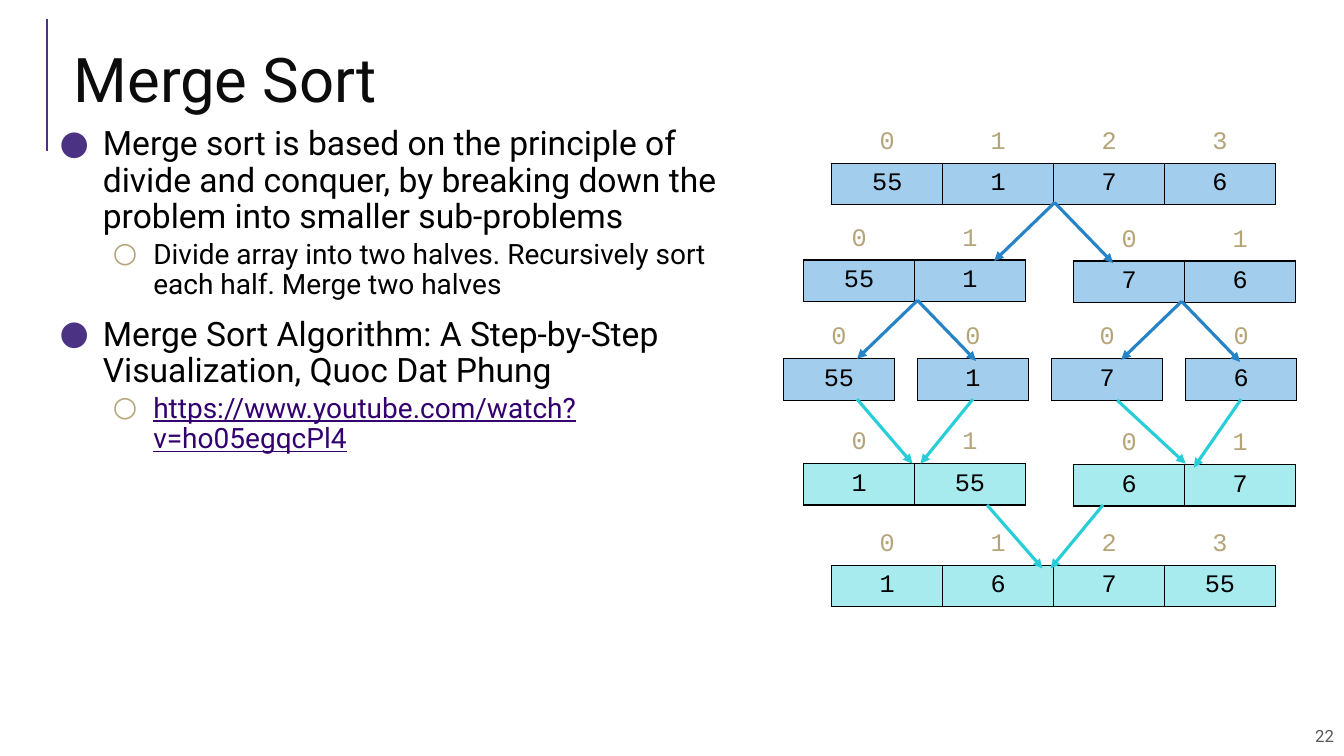
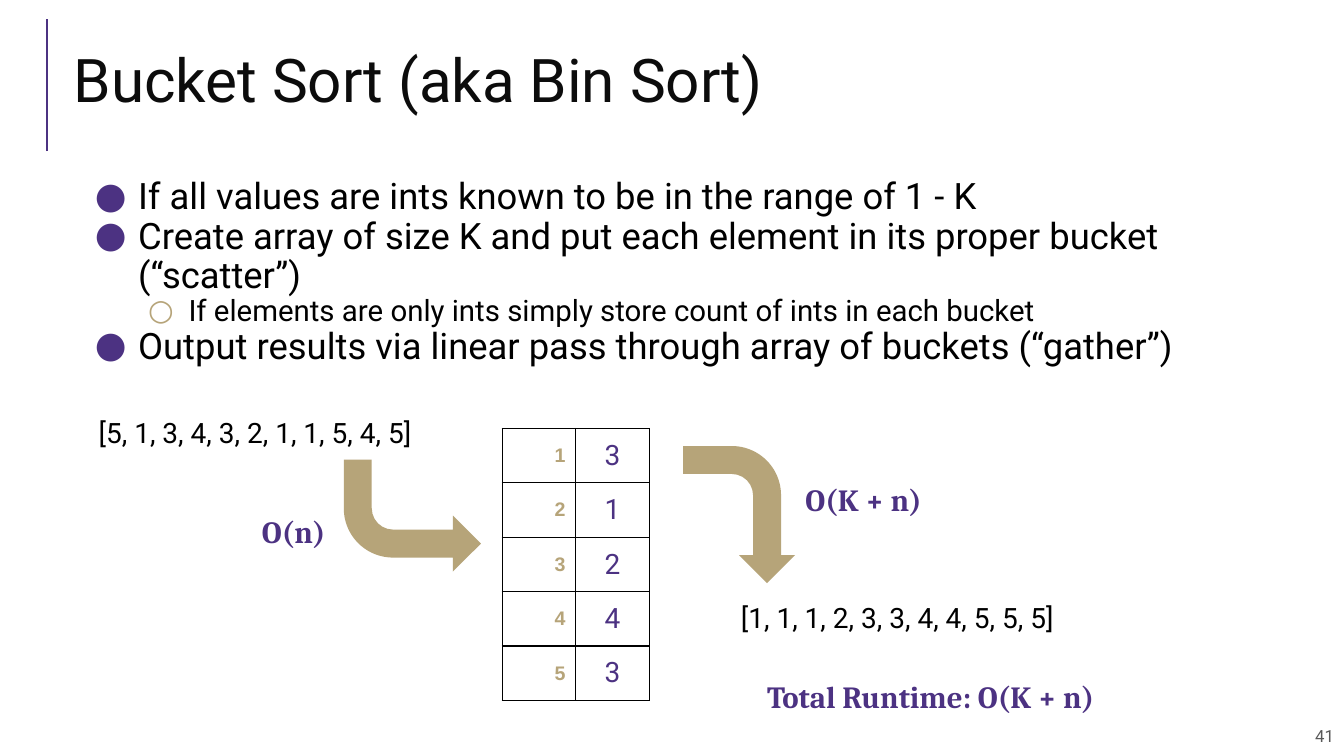
from lxml import etree
from pptx import Presentation
from pptx import util as u
from pptx.dml import color
from pptx.enum import shapes, text
from pptx.oxml import ns

COLOURS = {
    "purple": "4C3282", "gold": "B6A479", "title": "0C0C0C", "black": "000000",
    "white": "FFFFFF", "grey": "595959", "link": "33006F", "split": "2683C6",
    "merge": "27CED7", "split_cell": "A2CDED", "merge_cell": "A7EBEF",
}
BODY_FONT, CODE_FONT, LABEL_FONT, FORMULA_FONT = "Roboto", "Courier New", "Arial", "Cambria"
BULLETS = [("●", "purple", 0.5, -0.43), ("○", "gold", 1, -0.4)]


def rgb(name):
    """Return the named colour."""
    return color.RGBColor.from_string(COLOURS[name])


def add_element(parent, tag, **attributes):
    """Append a drawing element to its parent."""
    return etree.SubElement(parent, ns.qn(tag), attributes)


def format_runs(paragraph, font, size, colour, bold=False):
    """Apply one character style to every run of a paragraph."""
    for run in paragraph.runs:
        run.font.name = font
        run.font.size = u.Pt(size)
        run.font.bold = bold
        run.font.color.rgb = rgb(colour)


def set_insets(frame, horizontal, vertical):
    """Set the inner margins of a text frame or a cell."""
    frame.margin_left = frame.margin_right = u.Inches(horizontal)
    frame.margin_top = frame.margin_bottom = u.Inches(vertical)


def add_text(slide, box, content, font=BODY_FONT, size=20, colour="black", bold=False, inset=0.1):
    """Add a wrapped text box with one styled paragraph and return its frame."""
    frame = slide.shapes.add_textbox(*map(u.Inches, box)).text_frame
    frame.word_wrap = True
    set_insets(frame, inset, inset)
    frame.text = content
    format_runs(frame.paragraphs[0], font, size, colour, bold)
    return frame


def add_line(slide, start, end, colour, width, arrow=False):
    """Draw a straight line, with an optional arrowhead at its end."""
    line = slide.shapes.add_connector(
        shapes.MSO_CONNECTOR.STRAIGHT, *map(u.Inches, (*start, *end)))
    line.line.color.rgb = rgb(colour)
    line.line.width = u.Pt(width)
    if arrow:
        add_element(line.line._get_or_add_ln(), "a:tailEnd", type="triangle")
    add_element(line._element.spPr, "a:effectLst")


def add_titled_slide(presentation, title, size, number):
    """Add a slide with the shared title, side rule and number."""
    slide = presentation.slides.add_slide(presentation.slide_layouts[5])
    add_line(slide, (0.47, 1.5), (0.47, 0.19), "purple", 1.5)
    footer = add_text(slide, (8.65, 7.1, 4.68, 0.4), number, size=12, colour="grey")
    footer.vertical_anchor = text.MSO_ANCHOR.MIDDLE
    footer.paragraphs[0].alignment = text.PP_ALIGN.RIGHT
    heading = slide.shapes.title
    heading.left, heading.top, heading.width, heading.height = map(
        u.Inches, (0.63, 0.29, 12.23, 1.11))
    frame = heading.text_frame
    frame.text = title
    frame.auto_size = text.MSO_AUTO_SIZE.NONE
    frame.vertical_anchor = text.MSO_ANCHOR.MIDDLE
    set_insets(frame, 0.1, 0.05)
    paragraph = frame.paragraphs[0]
    paragraph.alignment = text.PP_ALIGN.LEFT
    paragraph.line_spacing = 0.8
    format_runs(paragraph, BODY_FONT, size, "title")
    return slide


def add_bullets(slide, box, items, sizes, spaces):
    """Add a two-level list from pairs of level and content."""
    frame = slide.shapes.add_textbox(*map(u.Inches, box)).text_frame
    frame.word_wrap = True
    set_insets(frame, 0.05, 0.05)
    for index, (level, content) in enumerate(items):
        paragraph = frame.add_paragraph() if index else frame.paragraphs[0]
        paragraph.text = content
        paragraph.level = level
        paragraph.line_spacing = 0.9
        paragraph.space_before = u.Pt(spaces[level] if index else 0)
        character, colour, margin, indent = BULLETS[level]
        properties = paragraph._p.get_or_add_pPr()
        properties.set("marL", str(u.Inches(margin)))
        properties.set("indent", str(u.Inches(indent)))
        add_element(add_element(properties, "a:buClr"), "a:srgbClr", val=COLOURS[colour])
        add_element(properties, "a:buFont", typeface=BODY_FONT)
        add_element(properties, "a:buChar", char=character)
        format_runs(paragraph, BODY_FONT, sizes[level], "black")
    return frame


def add_grid(slide, left, top, rows, columns, cell_width, cell_height):
    """Add a table of equal cells without banding."""
    table = slide.shapes.add_table(rows, columns, *map(
        u.Inches, (left, top, columns * cell_width, rows * cell_height))).table
    table.first_row = table.horz_banding = False
    for column in table.columns:
        column.width = u.Inches(cell_width)
    for row in table.rows:
        row.height = u.Inches(cell_height)
    return table


def fill_cell(cell, content, alignment, borders, fill, vertical, **style):
    """Write a cell with its borders (left, right, top, bottom) and fill."""
    cell.text = content
    cell.vertical_anchor = text.MSO_ANCHOR.MIDDLE
    set_insets(cell, 0.1, vertical)
    paragraph = cell.text_frame.paragraphs[0]
    paragraph.alignment = alignment
    format_runs(paragraph, **style)
    properties = cell._tc.get_or_add_tcPr()
    for side, colour in zip("LRTB", borders):
        border = add_element(properties, f"a:ln{side}", w=str(u.Pt(1)))
        add_element(add_element(border, "a:solidFill"), "a:srgbClr", val=COLOURS[colour])
    if fill:
        cell.fill.solid()
        cell.fill.fore_color.rgb = rgb(fill)
    else:
        cell.fill.background()


def add_array(slide, left, top, values, fill):
    """Add an array with its indices above the values."""
    table = add_grid(slide, left, top, 2, len(values), 1.1, 0.41)
    for index, value in enumerate(values):
        fill_cell(table.cell(0, index), str(index), text.PP_ALIGN.CENTER,
                  ["white"] * 3 + ["black"], "white", 0.05,
                  font=CODE_FONT, size=18, colour="gold")
        fill_cell(table.cell(1, index), str(value), text.PP_ALIGN.CENTER,
                  ["black"] * 4, fill, 0.05, font=CODE_FONT, size=18, colour="black")


def add_merge_diagram(slide, left, top):
    """Draw the arrays and arrows of a merge sort."""
    splits = [(0.48, 0, [55, 1, 7, 6]), (0.2, 0.96, [55, 1]), (2.88, 0.97, [7, 6])]
    splits += [(1.33 * index, 1.94, [value]) for index, value in enumerate([55, 1, 7, 6])]
    merges = [(0.2, 2.98, [1, 55]), (2.88, 2.99, [6, 7]), (0.48, 3.99, [1, 6, 7, 55])]
    for arrays, fill in ((splits, "split_cell"), (merges, "merge_cell")):
        for x, y, values in arrays:
            add_array(slide, left + x, top + y, values, fill)
    forks = [(2.69, 0.8), (1.33, 1.77), (3.95, 1.78)]
    arrows = [(x, y, x + dx, y + dy, "split")
              for x, y in forks for dx, dy in ((-0.6, 0.58), (0.58, 0.6))]
    joins = [(0.73, 2.75, 1.28, 3.39), (1.88, 2.75, 1.36, 3.39),
             (3.31, 2.76, 3.99, 3.39), (4.54, 2.75, 4.07, 3.43),
             (2.02, 3.8, 2.57, 4.43), (3.17, 3.8, 2.65, 4.43)]
    arrows += [(*join, "merge") for join in joins]
    for x1, y1, x2, y2, colour in arrows:
        add_line(slide, (left + x1, top + y1), (left + x2, top + y2), colour, 2.25, True)


def add_bent_arrow(slide, left, top, rotation, flipped=False):
    """Add a gold bent arrow."""
    arrow = slide.shapes.add_shape(
        shapes.MSO_SHAPE.BENT_ARROW, *map(u.Inches, (left, top, 1.36, 1.11)))
    arrow.shadow.inherit = False
    arrow.fill.solid()
    arrow.fill.fore_color.rgb = rgb("gold")
    arrow.line.fill.background()
    for index, value in enumerate((0.25, 0.25, 0.25, 0.44)):
        arrow.adjustments[index] = value
    arrow.rotation = rotation
    if flipped:
        arrow._element.spPr.xfrm.set("flipH", "1")


def add_bucket_diagram(slide, left, top):
    """Draw the input, buckets, output and costs of a bucket sort."""
    for x, y, content in ((0, 0, "[5, 1, 3, 4, 3, 2, 1, 1, 5, 4, 5]"),
                          (6.37, 1.84, "[1, 1, 1, 2, 3, 3, 4, 4, 5, 5, 5]")):
        add_text(slide, (left + x, top + y, 3.42, 0.54), content)
    table = add_grid(slide, left + 4.1, top + 0.23, 5, 2, 0.73, 0.54)
    for row, count in enumerate([3, 1, 2, 4, 3]):
        fill_cell(table.cell(row, 0), str(row + 1), text.PP_ALIGN.RIGHT, ["black"] * 4, None,
                  0.1, font=LABEL_FONT, size=14, colour="gold", bold=True)
        fill_cell(table.cell(row, 1), str(count), text.PP_ALIGN.CENTER, ["black"] * 4, None,
                  0.1, font=BODY_FONT, size=20, colour="purple")
    add_bent_arrow(slide, left + 2.53, top + 0.54, 180, True)
    add_bent_arrow(slide, left + 5.77, top + 0.53, 90)
    for x, y, width, content in ((1.62, 0.97, 1.11, "O(n)"), (7.01, 0.65, 2.11, "O(K + n)"),
                                 (6.63, 2.6, 4.09, "Total Runtime: O(K + n)")):
        add_text(slide, (left + x, top + y, width, 0.57), content,
                 FORMULA_FONT, 22, "purple", True)


def add_merge_slide(presentation):
    """Build the merge sort slide."""
    slide = add_titled_slide(presentation, "Merge Sort", 44, "22")
    frame = add_bullets(slide, (0.47, 1.21, 7.15, 4.09), [
        (0, "Merge sort is based on the principle of divide and conquer, "
            "by breaking down the problem into smaller sub-problems"),
        (1, "Divide array into two halves. Recursively sort each half. Merge two halves"),
        (0, "Merge Sort Algorithm: A Step-by-Step Visualization, Quoc Dat Phung"),
        (1, "https://www.youtube.com/watch?v=ho05egqcPl4"),
    ], (24, 20), (12, 3))
    address = frame.paragraphs[-1].runs[0]
    address.font.underline = True
    address.font.color.rgb = rgb("link")
    add_merge_diagram(slide, 7.77, 1.21)


def add_bucket_slide(presentation):
    """Build the bucket sort slide."""
    slide = add_titled_slide(presentation, "Bucket Sort (aka Bin Sort)", 43, "41")
    add_bullets(slide, (0.82, 1.72, 11.84, 1.99), [
        (0, "If all values are ints known to be in the range of 1 - K"),
        (0, "Create array of size K and put each element in its proper bucket (“scatter”)"),
        (1, "If elements are only ints simply store count of ints in each bucket"),
        (0, "Output results via linear pass through array of buckets (“gather”)"),
    ], (26, 21), (0, 0))
    add_bucket_diagram(slide, 0.88, 4.02)


def main():
    """Build and save the presentation."""
    presentation = Presentation()
    presentation.slide_width = u.Inches(13.33)
    presentation.slide_height = u.Inches(7.5)
    add_merge_slide(presentation)
    add_bucket_slide(presentation)
    presentation.save("out.pptx")


if __name__ == "__main__":
    main()
